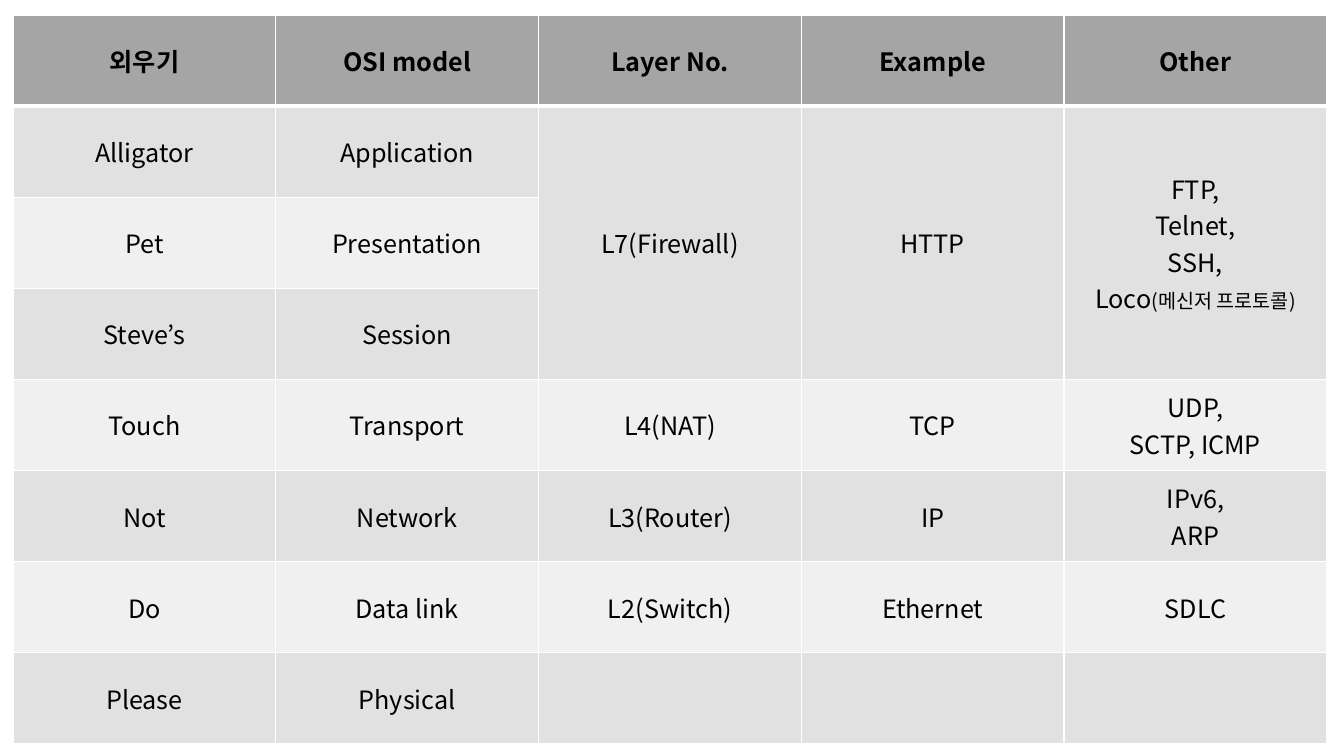
"""Build a slide with a table of the OSI model layers."""
from lxml import etree
from pptx import Presentation
from pptx import util as u
from pptx.dml.color import RGBColor
from pptx.enum import text
from pptx.oxml import ns

FONT = "Noto Sans CJK KR"
BLACK = RGBColor(0x00, 0x00, 0x00)
HEADER = RGBColor(0xA5, 0xA5, 0xA5)
DARK_BAND = RGBColor(0xE1, 0xE1, 0xE1)
LIGHT_BAND = RGBColor(0xF0, 0xF0, 0xF0)
WHITE = "FFFFFF"

ROWS = [
    ["외우기", "OSI model", "Layer No.", "Example", "Other"],
    ["Alligator", "Application", "L7(Firewall)", "HTTP", "FTP,\nTelnet,\nSSH,\nLoco"],
    ["Pet", "Presentation", "", "", ""],
    ["Steve’s", "Session", "", "", ""],
    ["Touch", "Transport", "L4(NAT)", "TCP", "UDP,\nSCTP, ICMP"],
    ["Not", "Network", "L3(Router)", "IP", "IPv6,\nARP"],
    ["Do", "Data link", "L2(Switch)", "Ethernet", "SDLC"],
    ["Please", "Physical", "", "", ""],
]


def add_borders(cell, bottom_width):
    """Draw white lines on all four sides of a cell."""
    properties = cell._tc.get_or_add_tcPr()
    for side, width in (("L", 1), ("R", 1), ("T", 1), ("B", bottom_width)):
        line = etree.SubElement(properties, ns.qn(f"a:ln{side}"), w=str(u.Pt(width)))
        fill = etree.SubElement(line, ns.qn("a:solidFill"))
        etree.SubElement(fill, ns.qn("a:srgbClr"), val=WHITE)


def set_font(font, size, bold):
    """Set the font for Latin and Korean text."""
    font.name = FONT
    font.size = u.Pt(size)
    font.bold = bold
    font.color.rgb = BLACK
    etree.SubElement(font._element, ns.qn("a:ea"), typeface=FONT)


deck = Presentation()
deck.slide_width, deck.slide_height = u.Inches(13.33), u.Inches(7.5)
slide = deck.slides.add_slide(deck.slide_layouts[6])
table = slide.shapes.add_table(
    len(ROWS), len(ROWS[0]), u.Inches(0.13), u.Inches(0.15), u.Inches(13.03), u.Inches(7.23)
).table

for row, labels in enumerate(ROWS):
    is_header = row == 0
    band = HEADER if is_header else DARK_BAND if row % 2 else LIGHT_BAND
    for column, label in enumerate(labels):
        cell = table.cell(row, column)
        add_borders(cell, 3 if is_header else 1)
        cell.fill.solid()
        cell.fill.fore_color.rgb = band
        cell.vertical_anchor = text.MSO_ANCHOR.MIDDLE
        cell.text = label
        for para in cell.text_frame.paragraphs:
            para.alignment = text.PP_ALIGN.CENTER
            set_font(para.font, 18, is_header)

for column in range(2, 5):
    table.cell(1, column).merge(table.cell(3, column))

span = table.cell(1, 4).text_frame.paragraphs[-1].add_run()
span.text = "(메신저 프로토콜)"
set_font(span.font, 14, False)

deck.save("out.pptx")
